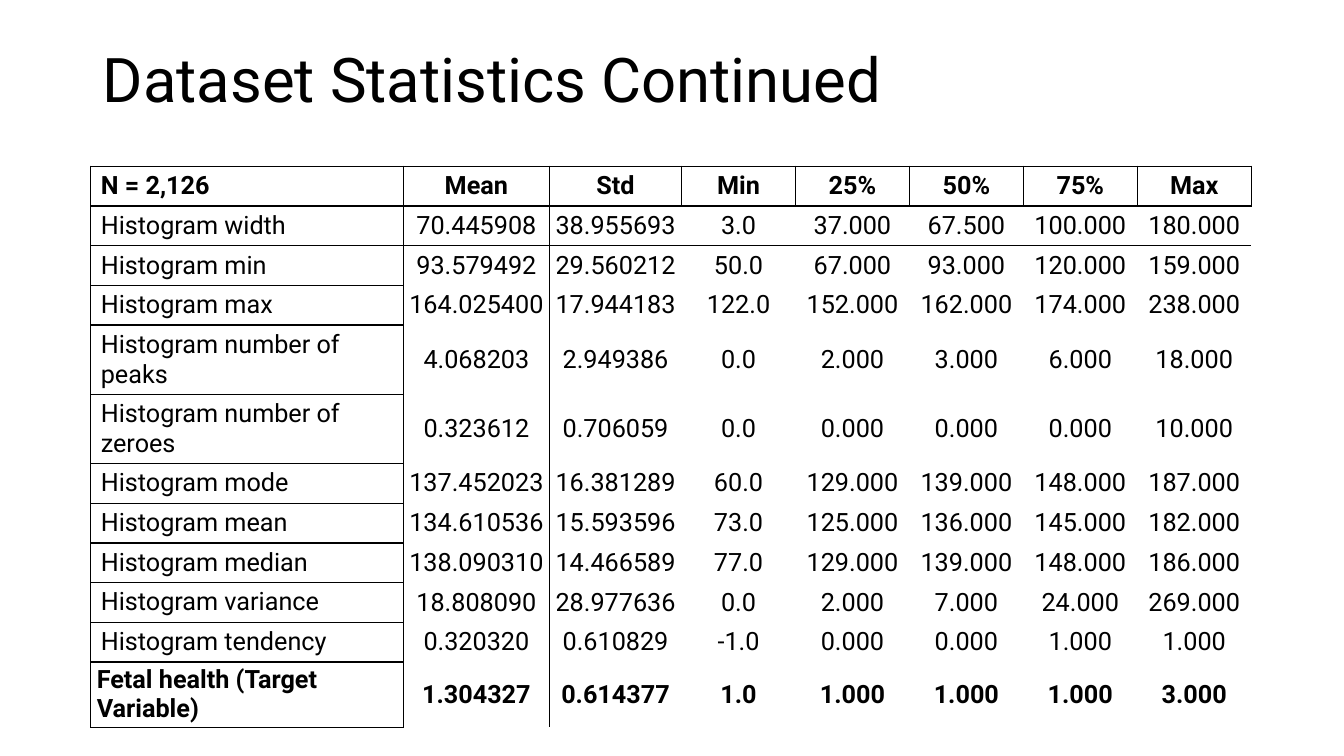
from pptx import Presentation
from pptx.dml.color import RGBColor
from pptx.enum import text
from pptx.oxml import parse_xml
from pptx.oxml.ns import nsdecls, qn
from pptx.util import Pt

PX = 9144  # 100 px to the inch
BLACK = RGBColor(0, 0, 0)
FONT = "Roboto"
NO_GRID_STYLE = "{2D5ABB26-0587-4C30-8999-92F81FD0307C}"
ALL_SIDES = "LRTB"

STATISTICS = [
    ("N = 2,126", "Mean", "Std", "Min", "25%", "50%", "75%", "Max"),
    ("Histogram width", "70.445908", "38.955693", "3.0", "37.000", "67.500", "100.000", "180.000"),
    ("Histogram min", "93.579492", "29.560212", "50.0", "67.000", "93.000", "120.000", "159.000"),
    ("Histogram max", "164.025400", "17.944183", "122.0", "152.000", "162.000", "174.000", "238.000"),
    ("Histogram number of peaks", "4.068203", "2.949386", "0.0", "2.000", "3.000", "6.000", "18.000"),
    ("Histogram number of zeroes", "0.323612", "0.706059", "0.0", "0.000", "0.000", "0.000", "10.000"),
    ("Histogram mode", "137.452023", "16.381289", "60.0", "129.000", "139.000", "148.000", "187.000"),
    ("Histogram mean", "134.610536", "15.593596", "73.0", "125.000", "136.000", "145.000", "182.000"),
    ("Histogram median", "138.090310", "14.466589", "77.0", "129.000", "139.000", "148.000", "186.000"),
    ("Histogram variance", "18.808090", "28.977636", "0.0", "2.000", "7.000", "24.000", "269.000"),
    ("Histogram tendency", "0.320320", "0.610829", "-1.0", "0.000", "0.000", "1.000", "1.000"),
    ("Fetal health (Target Variable)", "1.304327", "0.614377", "1.0", "1.000", "1.000", "1.000", "3.000"),
]
COLUMN_WIDTHS = [310, 145, 131] + [113] * 5
ROW_HEIGHT = 32
TABLE_HEIGHT = 506


def set_font(paragraph, size, bold):
    font = paragraph.font
    font.name, font.size, font.bold = FONT, Pt(size), bold
    font.color.rgb = BLACK


def draw_borders(cell, sides):
    properties = cell._tc.get_or_add_tcPr()
    for side in sides:
        properties.append(parse_xml(
            f'<a:ln{side} {nsdecls("a")} w="12700"><a:solidFill>'
            f'<a:srgbClr val="{BLACK}"/></a:solidFill></a:ln{side}>'))


deck = Presentation()
deck.slide_width, deck.slide_height = 1333 * PX, 750 * PX
slide = deck.slides.add_slide(deck.slide_layouts[5])

# Title
title = slide.shapes.title
title.left, title.top, title.width, title.height = 92 * PX, 40 * PX, 1150 * PX, 84 * PX
title.text_frame.text = "Dataset Statistics Continued"
title.text_frame.vertical_anchor = text.MSO_ANCHOR.MIDDLE
title.text_frame.auto_size = text.MSO_AUTO_SIZE.NONE
heading = title.text_frame.paragraphs[0]
heading.alignment = text.PP_ALIGN.LEFT
heading.line_spacing = 0.9
set_font(heading, 44, False)

# Table frame
table_frame = slide.shapes.add_table(
    len(STATISTICS), len(COLUMN_WIDTHS), 90 * PX, 165 * PX,
    sum(COLUMN_WIDTHS) * PX, TABLE_HEIGHT * PX)
table = table_frame.table
table.first_row = table.horz_banding = False
table._tbl.tblPr.find(qn("a:tableStyleId")).text = NO_GRID_STYLE
for column, width in zip(table.columns, COLUMN_WIDTHS):
    column.width = width * PX
for row in table.rows:
    row.height = ROW_HEIGHT * PX
table_frame.height = TABLE_HEIGHT * PX

# Cells: the header row and the label column are ruled, the values are open
last_row = len(STATISTICS) - 1
for r, values in enumerate(STATISTICS):
    for c, value in enumerate(values):
        cell = table.cell(r, c)
        cell.text = value
        if c > 0 or r == last_row:
            cell.vertical_anchor = text.MSO_ANCHOR.MIDDLE
            cell.margin_left = cell.margin_right = 6 * PX
            cell.margin_top = cell.margin_bottom = 3 * PX
        if r == 0 or c == 0:
            draw_borders(cell, ALL_SIDES)
        else:
            draw_borders(cell, ("L" if c == 1 else "") + ("T" if r == 1 else ""))
        cell.fill.background()
        entry = cell.text_frame.paragraphs[0]
        entry.alignment = text.PP_ALIGN.CENTER if c else text.PP_ALIGN.LEFT
        set_font(entry, 18, r in (0, last_row))

deck.save("out.pptx")
